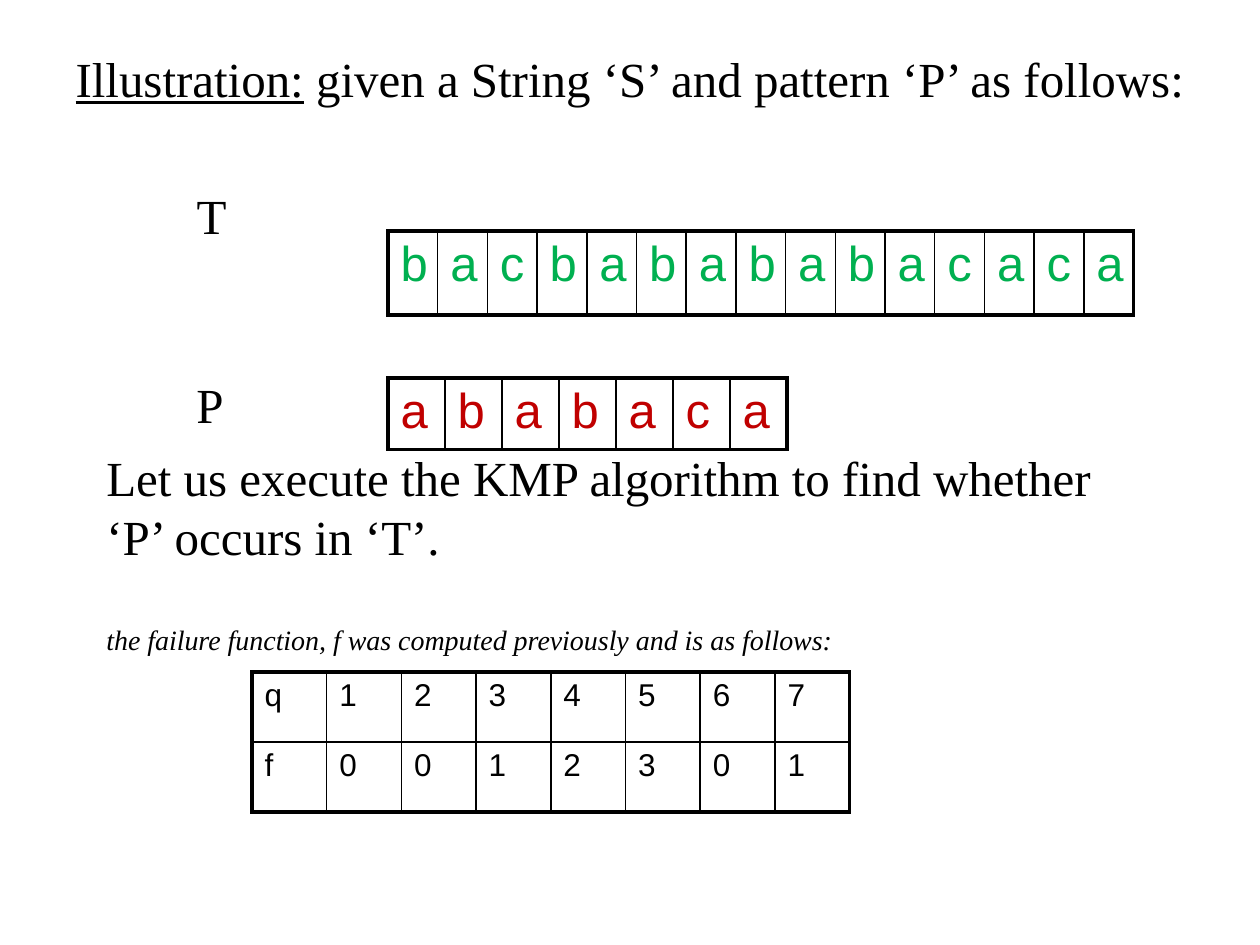
from pptx import Presentation
from pptx.dml.color import RGBColor
from pptx.enum.text import MSO_AUTO_SIZE
from pptx.oxml import parse_xml
from pptx.oxml.ns import nsdecls
from pptx.util import Emu, Pt

PIXEL = 914400 // 126
BLACK = "000000"
GREEN = "00B050"
RED = "C00000"
SERIF = "Times New Roman"
SANS = "Arial"


def px(length):
    return Emu(length * PIXEL)


def color(value):
    return RGBColor.from_string(value)


def format_font(paragraph, size, name=SERIF, value=BLACK, italic=False):
    font = paragraph.font
    font.size = Pt(size)
    font.name = name
    font.italic = italic
    font.color.rgb = color(value)


def remove_bullet(paragraph, indent=0):
    properties = paragraph._p.get_or_add_pPr()
    properties.set("marL", str(px(indent)))
    properties.set("indent", "0")
    properties.append(parse_xml(f"<a:buNone {nsdecls('a')}/>"))


def add_heading(slide, left, top, width, height):
    body = slide.placeholders[1]
    body.left, body.top, body.width, body.height = map(px, (left, top, width, height))
    frame = body.text_frame
    frame.auto_size = MSO_AUTO_SIZE.NONE
    frame.margin_right = 0
    heading = frame.paragraphs[0]
    heading.space_before = Pt(0)
    remove_bullet(heading)
    heading.add_run().text = "Illustration:"
    heading.runs[0].font.underline = True
    heading.add_run().text = " given a String ‘S’ and pattern ‘P’ as follows:"
    label = frame.add_paragraph()
    label.text = "T"
    label.space_before = Pt(45)
    remove_bullet(label, 121)
    for paragraph in frame.paragraphs:
        format_font(paragraph, 28)


def add_text(slide, left, top, width, height, lines):
    box = slide.shapes.add_textbox(*map(px, (left, top, width, height)))
    frame = box.text_frame
    frame.word_wrap = True
    for index, (text, size, italic, gap) in enumerate(lines):
        paragraph = frame.add_paragraph() if index else frame.paragraphs[0]
        paragraph.text = text
        paragraph.space_before = Pt(gap)
        format_font(paragraph, size, italic=italic)


def set_borders(cell, outer_sides):
    properties = cell._tc.get_or_add_tcPr()
    for position, (side, outer) in enumerate(zip("LRTB", outer_sides)):
        width = Pt(2.25 if outer else 1)
        properties.insert(position, parse_xml(
            f'<a:ln{side} {nsdecls("a")} w="{width}"><a:solidFill>'
            f'<a:srgbClr val="{BLACK}"/></a:solidFill></a:ln{side}>'))


def add_letter_table(slide, left, top, width, height, rows, size, value):
    row_count, column_count = len(rows), len(rows[0])
    frame = slide.shapes.add_table(row_count, column_count, *map(px, (left, top, width, height)))
    table = frame.table
    table.first_row = table.horz_banding = False
    for row, letters in enumerate(rows):
        for column, letter in enumerate(letters):
            cell = table.cell(row, column)
            cell.text = letter
            cell.fill.background()
            format_font(cell.text_frame.paragraphs[0], size, SANS, value)
            set_borders(cell, (column == 0, column == column_count - 1,
                               row == 0, row == row_count - 1))


def main():
    presentation = Presentation()
    presentation.slide_width, presentation.slide_height = px(1260), px(945)
    slide = presentation.slides.add_slide(presentation.slide_layouts[1])
    title = slide.shapes.title.element
    title.getparent().remove(title)

    add_heading(slide, 63, 42, 1134, 803)
    add_letter_table(slide, 388, 231, 746, 84, ["bacbabababacaca"], 28, GREEN)
    add_text(slide, 184, 368, 53, 72, [("P", 28, False, 0)])
    add_letter_table(slide, 388, 378, 399, 71, ["ababaca"], 28, RED)
    add_text(slide, 94, 441, 1021, 223, [
        ("Let us execute the KMP algorithm to find whether ‘P’ occurs in ‘T’.", 28, False, 0),
        ("the failure function, f was computed previously and is as follows:", 16, True, 33),
    ])
    add_letter_table(slide, 252, 672, 598, 140, ["q1234567", "f0012301"], 18, BLACK)
    presentation.save("out.pptx")


if __name__ == "__main__":
    main()
